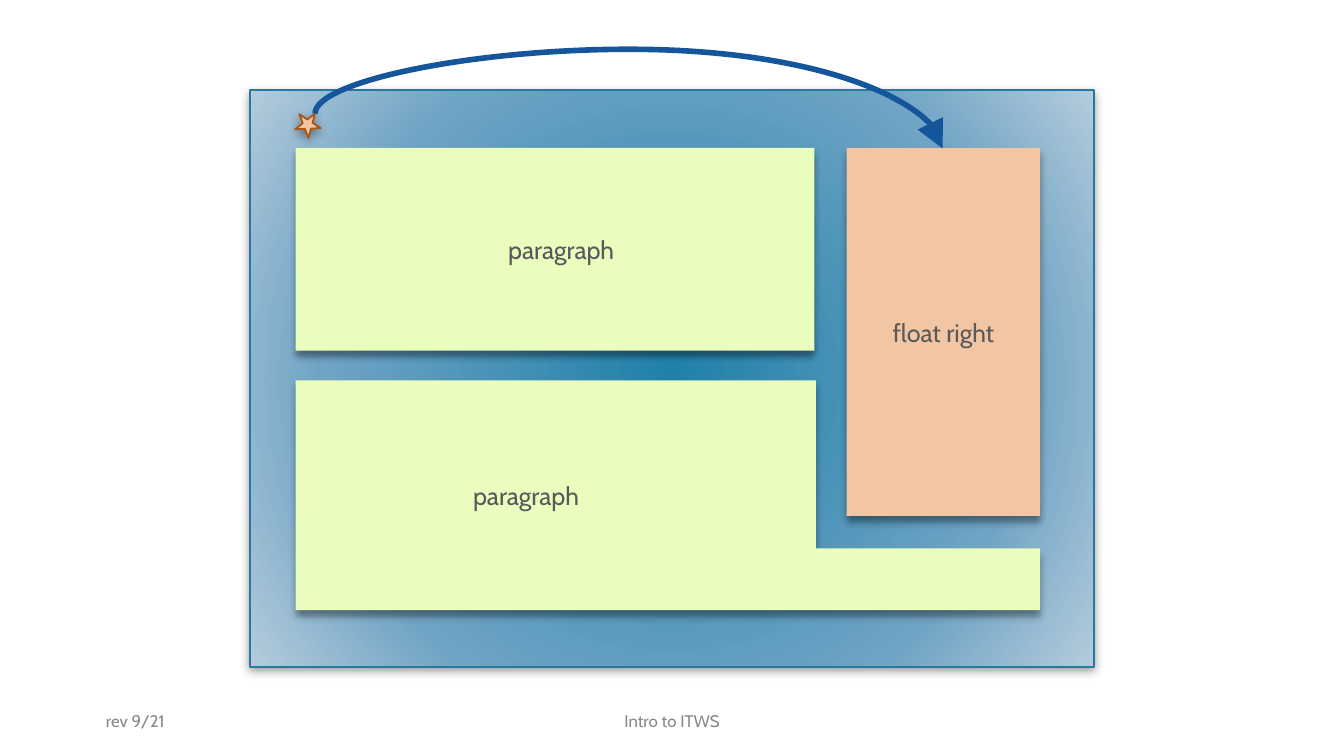
from pptx import Presentation
from pptx.dml.color import RGBColor
from pptx.enum.shapes import MSO_CONNECTOR, MSO_SHAPE
from pptx.enum.text import MSO_ANCHOR, PP_ALIGN
from pptx.oxml import parse_xml
from pptx.oxml.ns import nsdecls, qn
from pptx.util import Inches, Pt

RECTANGLE, STAR = MSO_SHAPE.RECTANGLE, MSO_SHAPE.STAR_5_POINT
CURVE = MSO_CONNECTOR.CURVE
LEFT, CENTER, MIDDLE = PP_ALIGN.LEFT, PP_ALIGN.CENTER, MSO_ANCHOR.MIDDLE

LIME = RGBColor(0xE9, 0xFD, 0xBF)
PEACH = RGBColor(0xF3, 0xC6, 0xA3)
RUST = RGBColor(0xA9, 0x57, 0x15)
TEAL = RGBColor(0x27, 0x7A, 0x9D)
NAVY = RGBColor(0x15, 0x55, 0x9C)
DARK_GRAY = RGBColor(0x59, 0x59, 0x59)
GRAY = RGBColor(0x88, 0x88, 0x88)
BLACK = RGBColor(0, 0, 0)
CONTAINER_STOPS = [
    (0, RGBColor(0x20, 0x80, 0xAA)),
    (69, RGBColor(0x70, 0xA4, 0xC5)),
    (100, RGBColor(0xB5, 0xCC, 0xDC)),
]

LABEL_FONT = {"name": "Cabin", "size": Pt(13.5)}
FOOTER_FONT = {"name": "Cabin", "size": Pt(9)}
FRAME_FORMAT = {"word_wrap": True, "vertical_anchor": MIDDLE}


def set_attributes(target, values):
    for name, value in values.items():
        setattr(target, name, value)


def write_text(shape, text, font, color, align, margin_left=0.1):
    frame = shape.text_frame
    set_attributes(frame, FRAME_FORMAT)
    frame.margin_left = Inches(margin_left)
    paragraph = frame.paragraphs[0]
    paragraph.text = text
    paragraph.alignment = align
    set_attributes(paragraph.font, font)
    paragraph.font.color.rgb = color


def set_line(line, color, width):
    line.color.rgb = color
    line.width = Pt(width)


def add_shadow(shape, blur, distance):
    shape.shadow.inherit = False
    shape._element.spPr.find(qn("a:effectLst")).append(parse_xml(
        f'<a:outerShdw {nsdecls("a")} blurRad="{Pt(blur)}" dist="{Pt(distance)}" '
        f'dir="5400000" rotWithShape="0"><a:srgbClr val="{BLACK}">'
        '<a:alpha val="40000"/></a:srgbClr></a:outerShdw>'))


def fill_radial(shape, stops):
    stop_xml = "".join(
        f'<a:gs pos="{percent * 1000}"><a:srgbClr val="{color}"/></a:gs>'
        for percent, color in stops)
    shape._element.spPr.find(qn("a:prstGeom")).addnext(parse_xml(
        f'<a:gradFill {nsdecls("a")}><a:gsLst>{stop_xml}</a:gsLst>'
        '<a:path path="circle"><a:fillToRect l="50000" t="50000" r="50000" b="50000"/>'
        '</a:path></a:gradFill>'))


def add_preset(slide, preset, box):
    return slide.shapes.add_shape(preset, *map(Inches, box))


def add_container(slide):
    container = add_preset(slide, RECTANGLE, (1.86, 0.67, 6.28, 4.29))
    fill_radial(container, CONTAINER_STOPS)
    set_line(container.line, TEAL, 1)
    add_shadow(container, 5, 2)


def style_block(block, color, text, align=CENTER, margin_left=0.1):
    block.fill.solid()
    block.fill.fore_color.rgb = color
    block.line.fill.background()
    add_shadow(block, 4, 3)
    write_text(block, text, LABEL_FONT, DARK_GRAY, align, margin_left)


def add_outline(slide, points):
    start, *rest = [(Inches(x), Inches(y)) for x, y in points]
    builder = slide.shapes.build_freeform(*start)
    builder.add_line_segments(rest, close=True)
    return builder.convert_to_shape()


def add_anchor_star(slide):
    star = add_preset(slide, STAR, (2.2, 0.83, 0.19, 0.18))
    star.rotation = 33.2
    star.fill.solid()
    star.fill.fore_color.rgb = PEACH
    set_line(star.line, RUST, 1)
    add_shadow(star, 5, 2)


def add_float_arrow(slide):
    arrow = slide.shapes.add_connector(
        CURVE, Inches(4.81), Inches(-1.36), Inches(4.55), Inches(3.31))
    set_line(arrow.line, NAVY, 3)
    properties = arrow._element.spPr
    properties.find(qn("a:xfrm")).set("rot", "5400000")
    properties.find(qn("a:prstGeom")).find(qn("a:avLst")).append(
        parse_xml(f'<a:gd {nsdecls("a")} name="adj1" fmla="val 284300"/>'))
    properties.find(qn("a:ln")).append(parse_xml(
        f'<a:headEnd {nsdecls("a")} type="triangle" w="lg" len="lg"/>'))
    properties.append(parse_xml(f'<a:effectLst {nsdecls("a")}/>'))


def add_footer(slide, text, left, width, align):
    footer = slide.shapes.add_textbox(
        Inches(left), Inches(5.21), Inches(width), Inches(0.3))
    write_text(footer, text, FOOTER_FONT, GRAY, align)


def main():
    presentation = Presentation()
    presentation.slide_width = Inches(10)
    presentation.slide_height = Inches(10 * 9 / 16)
    slide = presentation.slides.add_slide(presentation.slide_layouts[6])

    add_container(slide)
    floated = add_preset(slide, RECTANGLE, (6.3, 1.1, 1.44, 2.74))
    style_block(floated, PEACH, "float right")
    wrapping = add_outline(slide, [
        (6.07, 2.83), (6.07, 4.08), (7.74, 4.08),
        (7.74, 4.54), (2.2, 4.54), (2.2, 2.83)])
    style_block(wrapping, LIME, "paragraph", LEFT, 1.32)
    first = add_preset(slide, RECTANGLE, (2.2, 1.1, 3.86, 1.51))
    style_block(first, LIME, "paragraph", margin_left=0.19)
    add_anchor_star(slide)
    add_float_arrow(slide)
    add_footer(slide, "rev 9/21", 0.69, 2.69, LEFT)
    add_footer(slide, "Intro to ITWS", 3.81, 2.38, CENTER)

    presentation.save("out.pptx")


if __name__ == "__main__":
    main()
